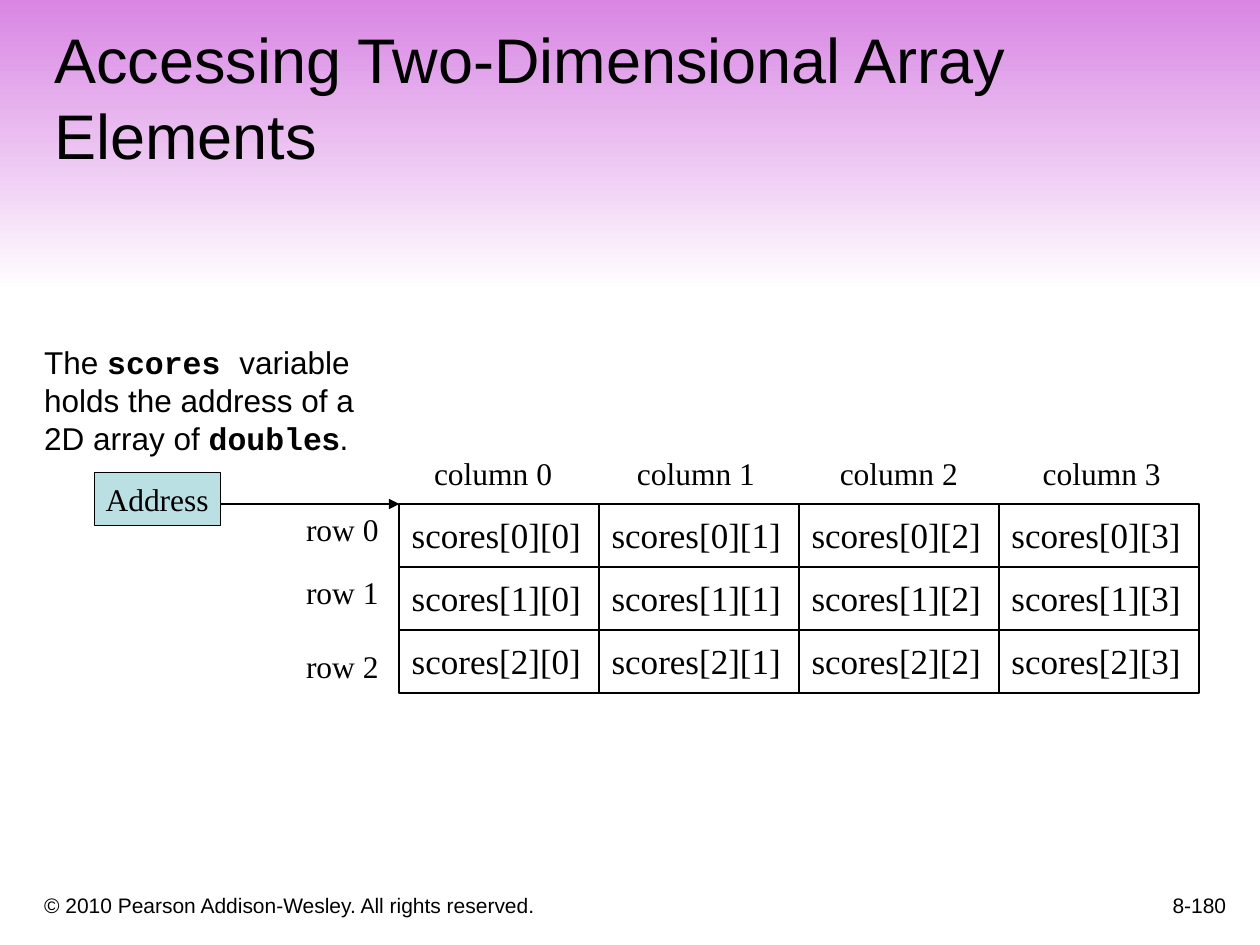
from dataclasses import dataclass
from typing import Any, Optional

from lxml.etree import SubElement
from pptx import Presentation
from pptx.dml.color import RGBColor
from pptx.enum.shapes import MSO_CONNECTOR, MSO_SHAPE
from pptx.enum.text import MSO_ANCHOR, PP_ALIGN
from pptx.oxml.ns import qn
from pptx.util import Cm, Pt


@dataclass(frozen=True)
class Theme:
    ink: RGBColor = RGBColor(0, 0, 0)
    paper: RGBColor = RGBColor(0xFF, 0xFF, 0xFF)
    band: RGBColor = RGBColor(0xD8, 0x85, 0xE3)
    address: RGBColor = RGBColor(0xBB, 0xE0, 0xE3)
    sans: str = "Arial"
    serif: str = "Times New Roman"
    mono: str = "Courier New"
    title: Pt = Pt(36)
    cell: Pt = Pt(20)
    label: Pt = Pt(18)
    footer: Pt = Pt(12)
    thin: Pt = Pt(0.75)
    border: Pt = Pt(1)


T = Theme()


@dataclass(frozen=True)
class Run:
    text: str
    font: str = T.sans
    bold: bool = False


@dataclass(frozen=True)
class Label:
    left: float
    top: float
    width: float
    height: float
    lines: list[list[Run]]
    size: Pt = T.label
    align: PP_ALIGN = PP_ALIGN.LEFT
    anchor: MSO_ANCHOR = MSO_ANCHOR.TOP
    wrap: bool = False


ROWS, COLS = 3, 4
GRID_LEFT, GRID_TOP, CELL_W, CELL_H = 8.05, 10.16, 4.03, 1.27
COLUMN_LEFT, COLUMN_PITCH = 8.5, 4.09
ROW_TOPS = (10.16, 11.43, 12.91)


def apply(target: Any, formats: dict[str, Any]) -> None:
    for name, value in formats.items():
        setattr(target, name, value)


def write(tf: Any, lines: list[list[Run]], size: Pt, align: PP_ALIGN = PP_ALIGN.LEFT) -> None:
    for i, line in enumerate(lines):
        p = tf.add_paragraph() if i else tf.paragraphs[0]
        p.alignment = align
        for run in line:
            r = p.add_run()
            r.text = run.text
            apply(r.font, {"name": run.font, "size": size, "bold": run.bold})
            r.font.color.rgb = T.ink


def add_label(s: Any, label: Label) -> None:
    box = (Cm(v) for v in (label.left, label.top, label.width, label.height))
    tf = s.shapes.add_textbox(*box).text_frame
    apply(tf, {"word_wrap": label.wrap, "vertical_anchor": label.anchor})
    write(tf, label.lines, label.size, label.align)


def add_band(s: Any) -> None:
    sp = s.shapes.add_shape(MSO_SHAPE.PENTAGON, 0, Cm(-0.03), Cm(25.4), Cm(5.92))
    sp.adjustments[0] = 0
    sp.shadow.inherit = False
    sp.line.fill.background()
    sp.fill.gradient()
    sp.fill.gradient_angle = 270
    for stop, color in zip(sp.fill.gradient_stops, (T.band, T.paper)):
        stop.color.rgb = color
    s.shapes._spTree.insert(2, sp._element)


def add_title(s: Any, text: str) -> None:
    sp = s.shapes.title
    apply(sp, {"left": Cm(0.84), "top": Cm(0.83), "width": Cm(23.93), "height": Cm(2.76)})
    apply(sp.text_frame, {"vertical_anchor": MSO_ANCHOR.BOTTOM, "word_wrap": True})
    write(sp.text_frame, [[Run(text)]], T.title)


def add_box(s: Any, left: float, top: float, width: float, height: float,
            line_width: Pt, fill: Optional[RGBColor] = None) -> Any:
    sp = s.shapes.add_shape(MSO_SHAPE.RECTANGLE, Cm(left), Cm(top), Cm(width), Cm(height))
    sp.shadow.inherit = False
    sp.line.color.rgb = T.ink
    sp.line.width = line_width
    if fill is None:
        sp.fill.background()
    else:
        sp.fill.solid()
        sp.fill.fore_color.rgb = fill
    return sp.text_frame


def add_address(s: Any) -> None:
    tf = add_box(s, 1.9, 9.53, 2.54, 1.06, T.thin, T.address)
    apply(tf, {"word_wrap": False, "vertical_anchor": MSO_ANCHOR.MIDDLE})
    write(tf, [[Run("Address", T.serif)]], T.label, PP_ALIGN.CENTER)


def add_arrow(s: Any) -> None:
    cx = s.shapes.add_connector(MSO_CONNECTOR.STRAIGHT, Cm(4.44), Cm(GRID_TOP),
                                Cm(GRID_LEFT), Cm(GRID_TOP))
    cx.line.color.rgb = T.ink
    cx.line.width = T.thin
    SubElement(cx.line._get_or_add_ln(), qn("a:tailEnd"), type="triangle")
    SubElement(cx._element.spPr, qn("a:effectLst"))


def add_grid(s: Any) -> None:
    for row in range(ROWS):
        for col in range(COLS):
            tf = add_box(s, GRID_LEFT + col * CELL_W, GRID_TOP + row * CELL_H,
                         CELL_W, CELL_H, T.border)
            apply(tf, {"word_wrap": True, "vertical_anchor": MSO_ANCHOR.TOP,
                       "margin_top": Cm(0.2)})
            write(tf, [[Run(f"scores[{row}][{col}]", T.serif)]], T.cell)


def main() -> None:
    prs = Presentation()
    apply(prs, {"slide_width": Cm(25.4), "slide_height": Cm(19.05)})
    s = prs.slides.add_slide(prs.slide_layouts[5])
    add_band(s)
    add_title(s, "Accessing Two-Dimensional Array Elements")
    add_grid(s)
    explanation = [
        [Run("The "), Run("scores ", T.mono, True), Run("variable")],
        [Run("holds the address of a")],
        [Run("2D array of "), Run("double", T.mono, True), Run("s", bold=True), Run(".")],
    ]
    labels = [
        Label(0.64, 6.79, 6.76, 2.54, explanation),
        Label(0.64, 17.57, 15.44, 1.06,
              [[Run("© 2010 Pearson Addison-Wesley. All rights reserved.")]],
              T.footer, anchor=MSO_ANCHOR.BOTTOM, wrap=True),
        Label(19.69, 17.35, 5.28, 1.27, [[Run("8-180")]], T.footer,
              PP_ALIGN.RIGHT, MSO_ANCHOR.BOTTOM, True),
    ]
    labels += [Label(COLUMN_LEFT + i * COLUMN_PITCH, 9.02, 2.9, 1.02,
                     [[Run(f"column {i}", T.serif)]]) for i in range(COLS)]
    labels += [Label(5.92, top, 1.98, 1.02, [[Run(f"row {i}", T.serif)]])
               for i, top in enumerate(ROW_TOPS)]
    for label in labels:
        add_label(s, label)
    add_address(s)
    add_arrow(s)
    prs.save("out.pptx")


if __name__ == "__main__":
    main()
